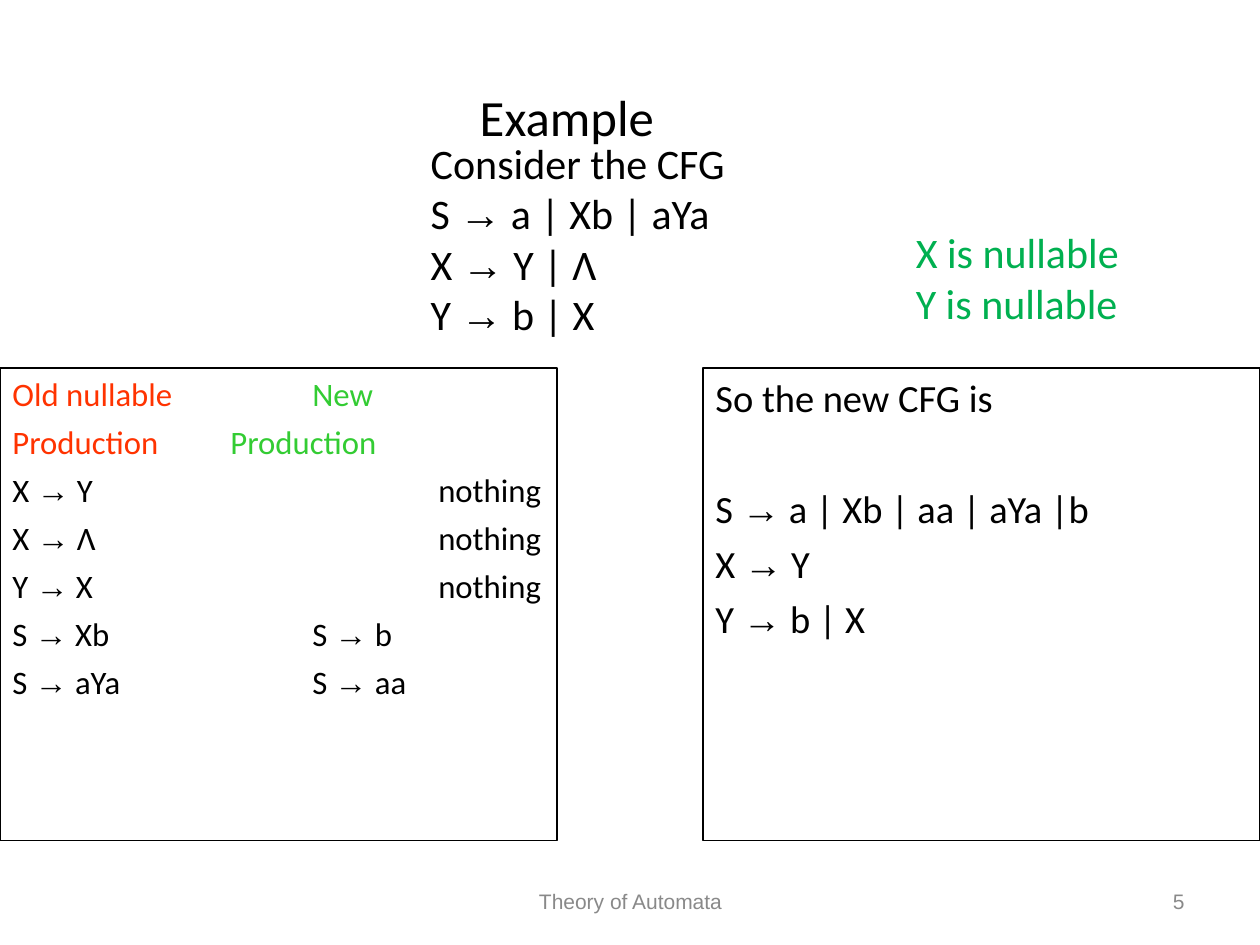
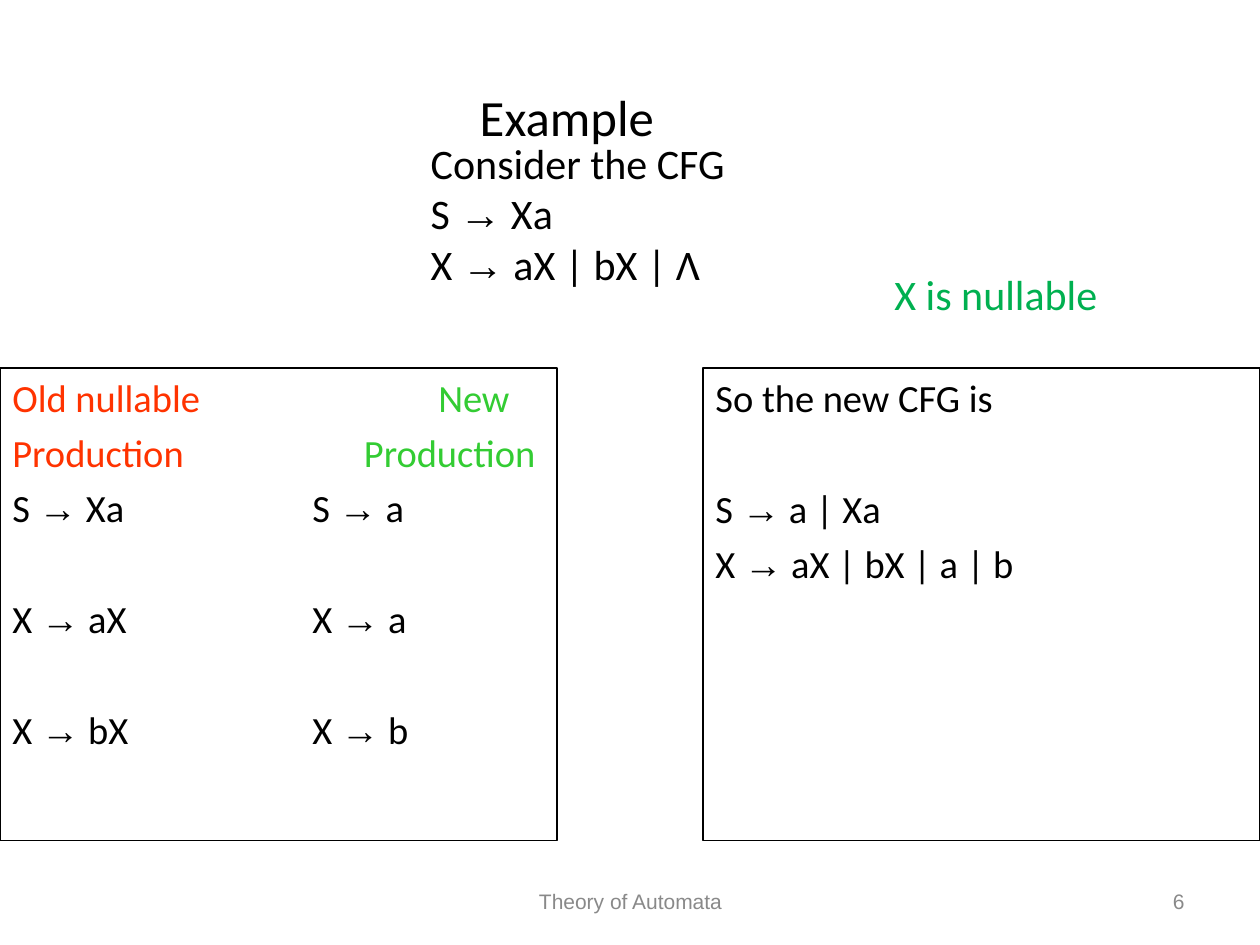
from pptx import Presentation
from pptx.dml.color import RGBColor
from pptx.enum.shapes import MSO_SHAPE
from pptx.enum.text import MSO_ANCHOR, PP_ALIGN
from pptx.oxml.ns import qn
from pptx.util import Inches, Pt
from lxml.etree import SubElement

WIDE, HIGH = 10, 7.5
BLACK, GREY, RED = "000000", "898989", "FF3300"
LIME, GREEN = "33CC33", "00B050"
SERIF_FREE, ARROW_FONT = "Calibri", "Arial"
BOX_W, BOX_TOP, BOX_H = 4.42, 2.92, 3.75
NEAR, FAR = 2.38, 3.38  # tab stops of the second column
STEP, SKIP = 5, 37      # space above a line, and above a line set apart


def color(code):
    """Turn a hex string into a colour."""
    return RGBColor.from_string(code)


def place(shape, left, top, width, height):
    """Move and size a shape, in inches."""
    shape.left, shape.top = Inches(left), Inches(top)
    shape.width, shape.height = Inches(width), Inches(height)


class Deck:
    """Holds the style and the current slide."""

    def __init__(self):
        """Open an empty deck."""
        self.show = Presentation()
        self.show.slide_width = Inches(WIDE)
        self.show.slide_height = Inches(HIGH)
        self.slide = None

    def page(self, number, title):
        """Start a slide with its title and footer."""
        self.slide = self.show.slides.add_slide(self.show.slide_layouts[5])
        head = self.slide.shapes.title
        place(head, 0, 0.3, 9, 1.25)
        head.text_frame.vertical_anchor = MSO_ANCHOR.MIDDLE
        self.line(head.text_frame.paragraphs[0], [(title, BLACK)], 29,
                  align=PP_ALIGN.CENTER)
        self.note("Theory of Automata", 3.42, 3.17, PP_ALIGN.CENTER)
        self.note(str(number), 7.17, 2.33, PP_ALIGN.RIGHT)

    def line(self, para, parts, size, font=SERIF_FREE, align=PP_ALIGN.LEFT,
             gap=0, tab=None):
        """Fill a paragraph with (text, colour) parts, arrows in their font."""
        if tab:
            stops = SubElement(para._p.get_or_add_pPr(), qn("a:tabLst"))
            SubElement(stops, qn("a:tab"), pos=str(Inches(tab)), algn="l")
        para.alignment, para.space_before = align, Pt(gap)
        para.font.size, para.font.name = Pt(size), font
        para.font.color.rgb = color(parts[0][1])
        for text, tint in parts:
            for index, piece in enumerate(text.split("→")):
                if index:
                    mark = para.add_run()
                    mark.text, mark.font.name = "→", ARROW_FONT
                if piece:
                    run = para.add_run()
                    run.text = piece
                    if tint != parts[0][1]:
                        run.font.color.rgb = color(tint)

    def lines(self, frame, rows, size):
        """Write rows of (parts, gap, tab) into a text frame."""
        for index, (parts, gap, tab) in enumerate(rows):
            para = frame.add_paragraph() if index else frame.paragraphs[0]
            self.line(para, parts, size, gap=gap, tab=tab)

    def text(self, left, top, width, height):
        """Add an empty text box and return its frame."""
        box = self.slide.shapes.add_textbox(
            Inches(left), Inches(top), Inches(width), Inches(height))
        box.text_frame.word_wrap = True
        return box.text_frame

    def note(self, text, left, width, align):
        """Add one footer text."""
        frame = self.text(left, 6.95, width, 0.4)
        frame.vertical_anchor = MSO_ANCHOR.MIDDLE
        self.line(frame.paragraphs[0], [(text, GREY)], 12, ARROW_FONT, align)

    def list(self, texts, left, top, width, height, tint=BLACK):
        """Add a plain list of large lines."""
        rows = [([(text, tint)], 0, None) for text in texts]
        self.lines(self.text(left, top, width, height), rows, 24)

    def box(self, left, rows, size):
        """Add an outlined box of rows."""
        shape = self.slide.shapes.add_shape(
            MSO_SHAPE.RECTANGLE, Inches(left), Inches(BOX_TOP),
            Inches(BOX_W), Inches(BOX_H))
        shape.shadow.inherit = False
        shape.fill.background()
        shape.line.color.rgb = color(BLACK)
        shape.line.width = Pt(0.74)
        frame = shape.text_frame
        frame.word_wrap, frame.vertical_anchor = True, MSO_ANCHOR.TOP
        self.lines(frame, rows, size)

    def old(self, pairs, size, tabs, gap=STEP):
        """Add the box of old and new productions; tabs set its heading."""
        heads = zip(("Old nullable", "Production"), ("New", "Production"), tabs)
        rows = [([(a, RED), ("\t" + b, LIME)], STEP, tab) for a, b, tab in heads]
        for index, (a, b) in enumerate(pairs):
            tab = FAR if b == "nothing" else NEAR
            rows.append(([(f"{a}\t{b}", BLACK)], gap if index else STEP, tab))
        self.box(0, rows, size)

    def new(self, rules):
        """Add the box of the new grammar."""
        rows = [([("So the new CFG is", BLACK)], STEP, None)]
        for index, rule in enumerate(rules):
            rows.append(([(rule, BLACK)], STEP if index else SKIP, None))
        self.box(WIDE - BOX_W, rows, 22)


deck = Deck()

deck.page(5, "Example")
deck.old([("X → Y", "nothing"), ("X → Λ", "nothing"), ("Y → X", "nothing"),
          ("S → Xb", "S → b"), ("S → aYa", "S → aa")], 18.7, (NEAR, 1.73))
deck.new(["S → a | Xb | aa | aYa |b", "X → Y", "Y → b | X"])
deck.list(["Consider the CFG", "S → a | Xb | aYa", "X → Y | Λ", "Y → b | X"],
          3.32, 1.04, 4.1, 1.7)
deck.list(["X is nullable", "Y is nullable"], 7.17, 1.75, 2.33, 0.9, GREEN)

deck.page(6, "Example")
deck.old([("S → Xa", "S → a"), ("X → aX", "X → a"), ("X → bX", "X → b")],
         22, (FAR, 2.79), SKIP)
deck.new(["S → a | Xa", "X → aX | bX | a | b"])
deck.list(["Consider the CFG", "S → Xa", "X → aX | bX | Λ"],
          3.32, 1.04, 4.1, 1.3)
deck.list(["X is nullable"], 7, 2.08, 2.33, 0.5, GREEN)

deck.show.save("out.pptx")
